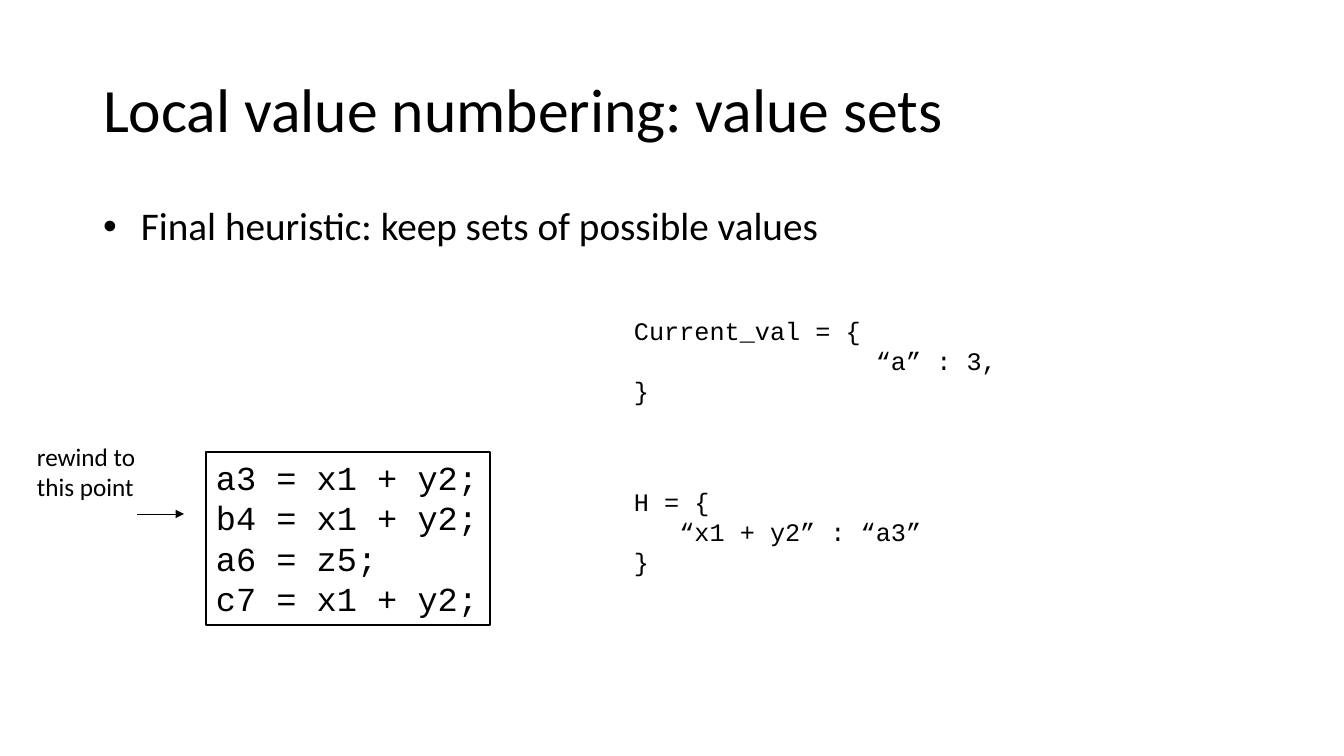
from lxml.etree import SubElement
from pptx import Presentation
from pptx.dml.color import RGBColor
from pptx.enum.shapes import MSO_CONNECTOR, MSO_SHAPE
from pptx.enum.text import MSO_ANCHOR, MSO_AUTO_SIZE, PP_ALIGN
from pptx.oxml.ns import qn
from pptx.util import Emu, Pt

EMU_PER_PX = 914400 / 100.8
BLACK = "000000"
WHITE = "FFFFFF"
BODY_FONT = "Calibri"
CODE_FONT = "Courier New"


def px(length):
    return Emu(round(length * EMU_PER_PX))


def color(hex_code):
    return RGBColor.from_string(hex_code)


def place(shape, box):
    shape.left, shape.top, shape.width, shape.height = map(px, box)


def write_lines(frame, lines, font, size, wrap=True):
    frame.word_wrap = wrap
    frame.text = "\n".join(lines)
    for paragraph in frame.paragraphs:
        paragraph.alignment = PP_ALIGN.LEFT
        paragraph.space_before = Pt(0)
        paragraph.font.name = font
        paragraph.font.size = Pt(size)
        paragraph.font.color.rgb = color(BLACK)


def add_heading(slide, box, text):
    title = slide.shapes.title
    place(title, box)
    frame = title.text_frame
    frame.vertical_anchor = MSO_ANCHOR.MIDDLE
    frame.auto_size = MSO_AUTO_SIZE.NONE
    write_lines(frame, [text], BODY_FONT, 44)
    frame.paragraphs[0].line_spacing = 0.9


def add_bullets(slide, box, points):
    body = slide.placeholders[1]
    place(body, box)
    frame = body.text_frame
    frame.auto_size = MSO_AUTO_SIZE.NONE
    frame.text = "\n".join(points)
    for paragraph in frame.paragraphs:
        properties = paragraph._p.get_or_add_pPr()
        properties.set("marL", str(px(25)))
        properties.set("indent", str(px(-25)))
        SubElement(properties, qn("a:buFont"), typeface="Arial")
        SubElement(properties, qn("a:buChar"), char="•")
    write_lines(frame, points, BODY_FONT, 28)
    for paragraph in frame.paragraphs:
        paragraph.line_spacing = 0.9


def add_code_block(slide, box, lines):
    block = slide.shapes.add_shape(MSO_SHAPE.RECTANGLE, *map(px, box))
    block.shadow.inherit = False
    block.fill.solid()
    block.fill.fore_color.rgb = color(WHITE)
    block.line.color.rgb = color(BLACK)
    block.line.width = Pt(1)
    block.text_frame.vertical_anchor = MSO_ANCHOR.TOP
    write_lines(block.text_frame, lines, CODE_FONT, 24, wrap=False)


def add_text(slide, box, lines, font):
    text = slide.shapes.add_textbox(*map(px, box))
    write_lines(text.text_frame, lines, font, 18)


def add_rewind_marker(slide, box):
    left, top, width, height = box
    add_text(slide, (left, top, 129, 72), ["rewind to this point"], BODY_FONT)
    arrow_y = px(top + height)
    arrow = slide.shapes.add_connector(
        MSO_CONNECTOR.STRAIGHT, px(left + width - 47), arrow_y, px(left + width), arrow_y
    )
    arrow.line.color.rgb = color(BLACK)
    arrow.line.width = Pt(0.5)
    SubElement(arrow.line._get_or_add_ln(), qn("a:tailEnd"), type="triangle")
    SubElement(arrow._element.spPr, qn("a:effectLst"))


def main():
    deck = Presentation()
    deck.slide_width, deck.slide_height = px(1344), px(756)
    slide = deck.slides.add_slide(deck.slide_layouts[1])

    add_heading(slide, (93, 40, 1159, 146), "Local value numbering: value sets")
    add_bullets(slide, (93, 202, 1159, 83), ["Final heuristic: keep sets of possible values"])
    add_code_block(
        slide,
        (206, 452, 284, 173),
        ["a3 = x1 + y2;", "b4 = x1 + y2;", "a6 = z5;", "c7 = x1 + y2;"],
    )
    add_text(slide, (624, 481, 373, 102), ["H = {", "   “x1 + y2” : “a3”", "}"], CODE_FONT)
    add_text(
        slide,
        (624, 310, 385, 102),
        ["Current_val = {", "                “a” : 3,", "}"],
        CODE_FONT,
    )
    add_rewind_marker(slide, (27, 436, 157, 78))

    deck.save("out.pptx")


if __name__ == "__main__":
    main()
